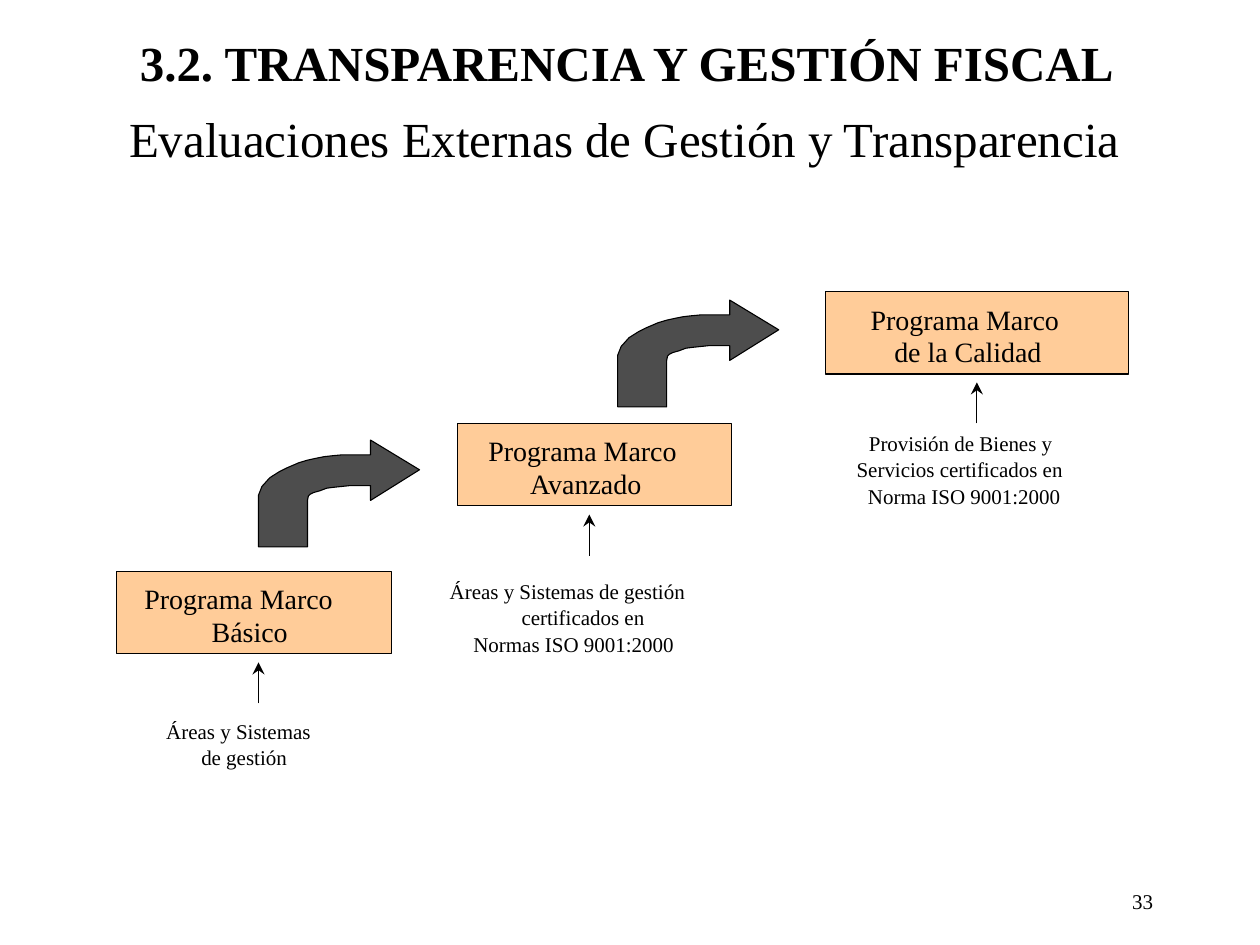
from pptx import Presentation
from pptx.dml.color import RGBColor
from pptx.enum.shapes import MSO_CONNECTOR as CONN, MSO_SHAPE as SHAPE
from pptx.enum.text import MSO_ANCHOR as ANCHOR, MSO_AUTO_SIZE as FIT, PP_ALIGN as ALIGN
from pptx.oxml.ns import qn
from pptx.util import Pt
from lxml import etree

BLACK = RGBColor(0x00, 0x00, 0x00)
PEACH = RGBColor(0xFF, 0xCC, 0x99)
GRAY = RGBColor(0x4D, 0x4D, 0x4D)
FONT = "Times New Roman"
THIN = Pt(0.62)

prs = Presentation()
prs.slide_width, prs.slide_height = Pt(720), Pt(540)
s = prs.slides.add_slide(prs.slide_layouts[6])


def add_text(text, x, y, w, h, size, align=ALIGN.LEFT, bold=False, label=False):
    """Place one line of text; a label has no insets and does not wrap."""
    sp = s.shapes.add_textbox(Pt(x), Pt(y), Pt(w), Pt(h))
    tf = sp.text_frame
    tf.word_wrap = not label
    if label:
        tf.margin_left = tf.margin_right = tf.margin_top = tf.margin_bottom = 0
        tf.auto_size = FIT.SHAPE_TO_FIT_TEXT
    p = tf.paragraphs[0]
    p.alignment = align
    r = p.add_run()
    r.text = text
    r.font.name, r.font.size, r.font.bold = FONT, Pt(size), bold
    r.font.color.rgb = BLACK
    return tf


def add_outline(points, x, y, color):
    """Draw a closed, filled outline from points relative to (x, y)."""
    pts = [(Pt(x + dx), Pt(y + dy)) for dx, dy in points]
    fb = s.shapes.build_freeform(*pts[0], scale=1.0)
    fb.add_line_segments(pts[1:], close=True)
    sp = fb.convert_to_shape()
    sp.shadow.inherit = False
    sp.fill.solid()
    sp.fill.fore_color.rgb = color
    return sp


# Headings
add_text("3.2. TRANSPARENCIA Y GESTIÓN FISCAL", 31, 15, 654, 41, 28, ALIGN.CENTER, bold=True)
tf = add_text("Evaluaciones Externas de Gestión y Transparencia", 50, 67.5, 613.5, 23, 28, ALIGN.CENTER)
tf.vertical_anchor = ANCHOR.MIDDLE

# Program steps: left, top, width of the box, then its lines (text, left, top, width)
steps = [
    (66.75, 326.5, 156.75, [("Programa Marco", 82.5, 332.5, 120), ("Básico", 121, 351, 55)]),
    (261.25, 242, 156.75, [("Programa Marco", 279, 247.5, 120), ("Avanzado", 303, 266.5, 75)]),
    (471.5, 166.75, 173.25, [("Programa Marco", 497.5, 172.75, 120), ("de la Calidad", 511, 191.25, 95)]),
]
for x, y, w, lines in steps:
    sp = s.shapes.add_shape(SHAPE.RECTANGLE, Pt(x), Pt(y), Pt(w), Pt(47))
    sp.shadow.inherit = False
    sp.fill.solid()
    sp.fill.fore_color.rgb = PEACH
    sp.line.color.rgb = BLACK
    sp.line.width = THIN
    for text, tx, ty, tw in lines:
        add_text(text, tx, ty, tw, 19.5, 16, label=True)

# Curved arrows from one step to the next
CURVED_ARROW = [
    (92, 17), (64, 0), (64, 8.5), (47.5, 8.5), (42, 9), (37.5, 9.5), (32.5, 10.5),
    (28, 11.5), (23, 13), (19.5, 14.5), (16, 16), (12, 18), (6.5, 21.5), (2, 26.5),
    (0, 31.5), (0, 61), (28, 61), (28, 34.5),
    (28.5, 32), (29.5, 31), (31.5, 30), (35, 29), (39, 27.5), (43, 27), (48, 26.5),
    (52.5, 26), (64, 26), (64, 34.5),
]
for x, y in [(147.75, 251.5), (353, 171.5)]:
    sp = add_outline(CURVED_ARROW, x, y, GRAY)
    sp.line.color.rgb = BLACK
    sp.line.width = THIN

# Requirements below each step: text, left, top, width
requirements = [
    ("Áreas y Sistemas", 95, 410.5, 95), ("de gestión", 115, 425.5, 60),
    ("Áreas y Sistemas de gestión", 257, 330.5, 150), ("certificados en", 298, 345.5, 85),
    ("Normas ISO 9001:2000", 270.5, 361, 130),
    ("Provisión de Bienes y", 496.5, 246, 120), ("Servicios certificados en", 489.5, 261, 135),
    ("Norma ISO 9001:2000", 496, 276.5, 125),
]
for text, x, y, w in requirements:
    add_text(text, x, y, w, 14.5, 12, label=True)

# Small upward arrows: centre and tip
ARROW_HEAD = [(3.5, 7), (0, 0), (-3.5, 7), (0, 4.5)]
for x, y in [(147.75, 378.5), (336.75, 294), (558.25, 218.5)]:
    c = s.shapes.add_connector(CONN.STRAIGHT, Pt(x), Pt(y + 23.5), Pt(x), Pt(y + 2.5))
    c.line.color.rgb = BLACK
    c.line.width = THIN
    etree.SubElement(c._element.spPr, qn("a:effectLst"))
    add_outline(ARROW_HEAD, x, y, BLACK).line.fill.background()

# Slide number
add_text("33", 516, 504, 150, 18, 12, ALIGN.RIGHT)

prs.save("out.pptx")
